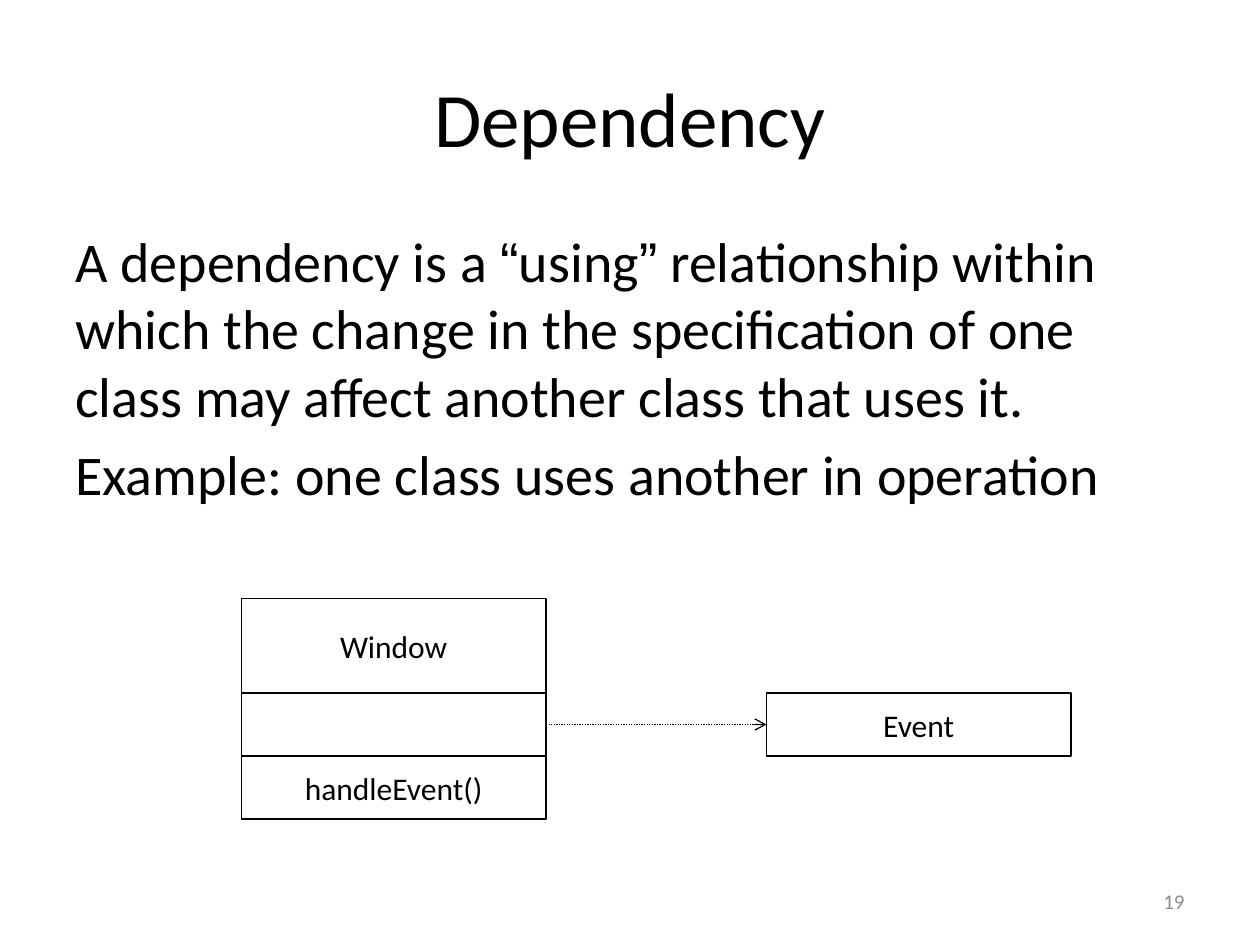
"""Build a slide that explains the dependency relationship with a small class diagram."""
from dataclasses import dataclass
from itertools import groupby

from lxml import etree
from pptx import Presentation
from pptx.dml.color import RGBColor
from pptx.enum.dml import MSO_LINE
from pptx.enum.shapes import MSO_CONNECTOR, MSO_SHAPE
from pptx.enum.text import MSO_ANCHOR, PP_ALIGN
from pptx.oxml.ns import qn
from pptx.util import Inches, Pt

LEFT, CENTER, RIGHT = PP_ALIGN.LEFT, PP_ALIGN.CENTER, PP_ALIGN.RIGHT
TOP, MIDDLE = MSO_ANCHOR.TOP, MSO_ANCHOR.MIDDLE
RECTANGLE, STRAIGHT, DOTTED = MSO_SHAPE.RECTANGLE, MSO_CONNECTOR.STRAIGHT, MSO_LINE.ROUND_DOT
LEFT_SIDE, RIGHT_SIDE = 1, 3
QUOTES = "“”"


@dataclass(frozen=True)
class Theme:
    ink: RGBColor = RGBColor(0, 0, 0)
    paper: RGBColor = RGBColor(255, 255, 255)
    muted: RGBColor = RGBColor(0x8C, 0x8C, 0x8C)
    font: str = "Calibri"
    quote_font: str = "Arial"
    title: int = 44
    body: int = 32
    label: int = 18
    number: int = 12
    line: float = 0.75


theme = Theme()
deck = Presentation()
deck.slide_width, deck.slide_height = Inches(10), Inches(7.5)
page = deck.slides.add_slide(deck.slide_layouts[6])
column, row = deck.slide_width // 120, deck.slide_height // 90


def place(left, top, width, height):
    return left * column, top * row, width * column, height * row


def write(frame, text, size, color=theme.ink, align=CENTER, anchor=MIDDLE, wrap=True, before=0):
    frame.word_wrap, frame.vertical_anchor = wrap, anchor
    for index, line in enumerate(text.split("\n")):
        para = frame.add_paragraph() if index else frame.paragraphs[0]
        para.alignment, para.space_before = align, Pt(before)
        for quoted, letters in groupby(line, key=lambda letter: letter in QUOTES):
            span = para.add_run()
            span.text = "".join(letters)
            span.font.name = theme.quote_font if quoted else theme.font
            span.font.size, span.font.color.rgb = Pt(size), color


body_text = (
    "A dependency is a “using” relationship within which the change in the "
    "specification of one class may affect another class that uses it.\n"
    "Example: one class uses another in operation"
)
for area, text, style in (
    ((86, 83.4, 28, 4.8), "19", dict(size=theme.number, color=theme.muted, align=RIGHT)),
    ((6, 3.6, 108, 15), "Dependency", dict(size=theme.title)),
    ((6, 21, 108, 59.4), body_text,
     dict(size=theme.body, align=LEFT, anchor=TOP, before=theme.body * 0.2)),
):
    box = page.shapes.add_textbox(*map(int, place(*area)))
    write(box.text_frame, text, **style)

window_left, event_left, class_width = 23, 73, 29
boxes = {}
for name, left, top, height, label in (
    ("name", window_left, 57, 9, "Window"),
    ("operations", window_left, 72, 6, "handleEvent()"),
    ("attributes", window_left, 66, 6, ""),
    ("event", event_left, 66, 6, "Event"),
):
    box = page.shapes.add_shape(RECTANGLE, *place(left, top, class_width, height))
    box.shadow.inherit = False
    box.fill.solid()
    box.fill.fore_color.rgb = theme.paper
    box.line.color.rgb, box.line.width = theme.ink, Pt(theme.line)
    write(box.text_frame, label, theme.label, wrap=False)
    boxes[name] = box

arrow = page.shapes.add_connector(STRAIGHT, 0, 0, 0, 0)
arrow.begin_connect(boxes["attributes"], RIGHT_SIDE)
arrow.end_connect(boxes["event"], LEFT_SIDE)
arrow.line.color.rgb, arrow.line.width = theme.ink, Pt(theme.line)
arrow.line.dash_style = DOTTED
etree.SubElement(arrow.line._get_or_add_ln(), qn("a:tailEnd"), type="arrow")
etree.SubElement(arrow._element.spPr, qn("a:effectLst"))

deck.save("out.pptx")
